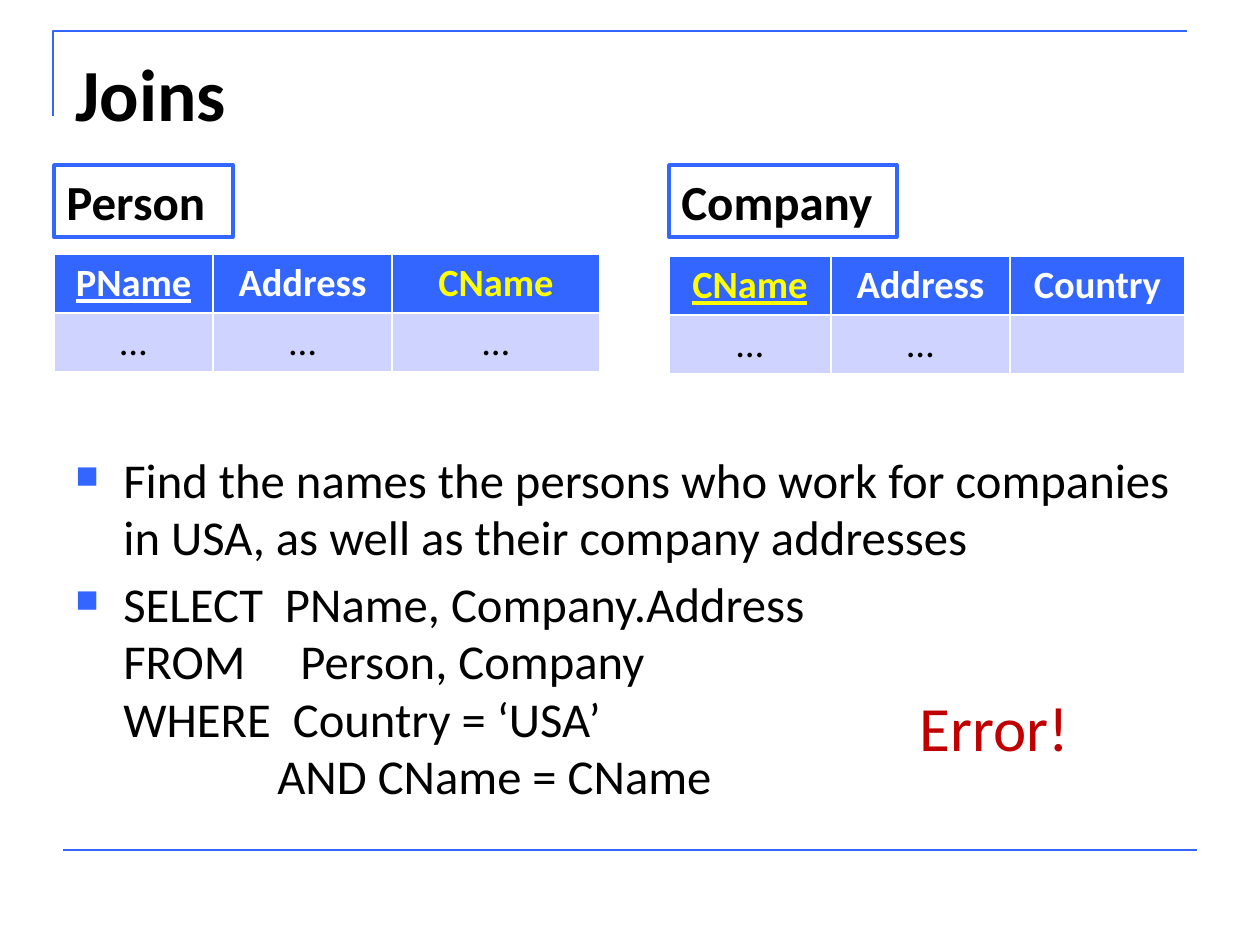
from lxml.etree import SubElement
from pptx import Presentation
from pptx.dml.color import RGBColor
from pptx.enum.shapes import MSO_CONNECTOR as Connector, MSO_SHAPE as Shape
from pptx.enum.text import MSO_ANCHOR as Anchor, PP_ALIGN as Align
from pptx.oxml.ns import qn
from pptx.util import Emu, Pt

PX = 914400 / 126
BLUE, PALE, BLACK = "3366FF", "CED3FF", "000000"
WHITE, YELLOW, RED = "FFFFFF", "FFFF00", "C00000"


def px(*lengths):
    return [Emu(round(length * PX)) for length in lengths]


def write(para, text, color=BLACK, **values):
    para.text = text
    for span in para.runs:
        span.font.color.rgb = RGBColor.from_string(color)
        for name, value in {"name": "Calibri", **values}.items():
            setattr(span.font, name, value)


deck = Presentation()
deck.slide_width, deck.slide_height = px(1260, 945)
page = deck.slides.add_slide(deck.slide_layouts[6])
blue = RGBColor.from_string(BLUE)

# Frame lines
builder = page.shapes.build_freeform(53, 116, scale=PX)
builder.add_line_segments([(53, 31), (1187, 31)], close=False)
corner = builder.convert_to_shape()
corner.fill.background()
corner.shadow.inherit = False
rule = page.shapes.add_connector(Connector.STRAIGHT, *px(63, 850, 1197, 850))
SubElement(rule._element.spPr, qn("a:effectLst"))
for line in (corner.line, rule.line):
    line.color.rgb = blue
    line.width = Pt(1.5)

# Title
title = page.shapes.add_textbox(*px(63, 38, 1134, 157)).text_frame
title.word_wrap = True
title.margin_top = px(10)[0]
write(title.paragraphs[0], "Joins", size=Pt(42), bold=True)

# Question and query
query = (
    "SELECT  PName, Company.Address\n"
    "FROM     Person, Company\n"
    "WHERE  Country = ‘USA’\n"
    "              AND CName = CName"
)
question = ("Find the names the persons who work for companies in USA, "
            "as well as their company addresses")
body = page.shapes.add_textbox(*px(63, 442, 1134, 402)).text_frame
body.word_wrap = True
body.margin_top = px(11)[0]
for index, text in enumerate((question, query)):
    para = body.add_paragraph() if index else body.paragraphs[0]
    para.line_spacing = 0.98
    para.space_before = Pt(5.5 * index)
    props = para._p.get_or_add_pPr()
    indent = px(48)[0]
    props.set("marL", str(indent))
    props.set("indent", str(-indent))
    SubElement(SubElement(props, qn("a:buClr")), qn("a:srgbClr"), val=BLUE)
    SubElement(props, qn("a:buSzPct"), val="65000")
    SubElement(props, qn("a:buChar"), char="■")
    write(para, text, size=Pt(27.8))

# Verdict
error = page.shapes.add_textbox(*px(907, 682, 176, 89)).text_frame
error.word_wrap = False
write(error.paragraphs[0], "Error!", RED, size=Pt(36))

# Relations: name box and table; the first column is the key
relations = [
    ("Person", 54, 179, 254, (159, 179, 208),
     ("PName", "Address", "CName"), ("…", "…", "…")),
    ("Company", 669, 228, 256, (162, 179, 175),
     ("CName", "Address", "Country"), ("…", "…", "")),
]
for name, left, width, top, columns, header, values in relations:
    box = page.shapes.add_shape(Shape.RECTANGLE, *px(left, 165, width, 72))
    box.shadow.inherit = False
    box.fill.background()
    box.line.color.rgb = blue
    box.line.width = Pt(2)
    box.text_frame.word_wrap = True
    box.text_frame.vertical_anchor = Anchor.TOP
    label = box.text_frame.paragraphs[0]
    label.alignment = Align.LEFT
    write(label, name, size=Pt(28), bold=True)

    table = page.shapes.add_table(
        2, 3, *px(left, top, sum(columns), 118)).table
    for column, size in zip(table.columns, px(*columns)):
        column.width = size
    for row, texts in enumerate((header, values)):
        for index, text in enumerate(texts):
            cell = table.cell(row, index)
            cell.fill.solid()
            cell.fill.fore_color.rgb = RGBColor.from_string(
                PALE if row else BLUE)
            para = cell.text_frame.paragraphs[0]
            para.alignment = Align.CENTER
            color = BLACK if row else YELLOW if text == "CName" else WHITE
            write(para, text, color, size=Pt(22), bold=not row,
                  underline=not row and index == 0)

deck.save("out.pptx")
